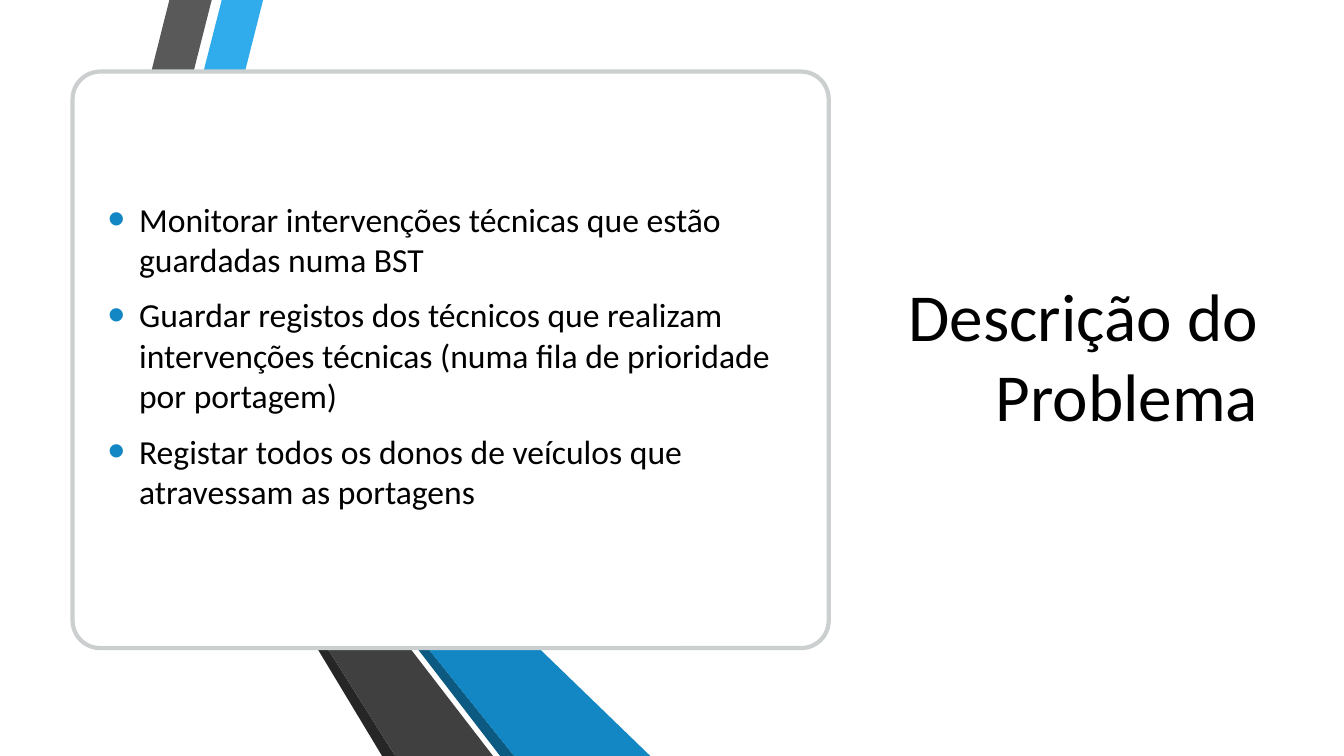
from dataclasses import dataclass

from lxml.etree import SubElement
from pptx import Presentation
from pptx.dml.color import RGBColor
from pptx.enum.shapes import MSO_SHAPE
from pptx.enum.text import MSO_ANCHOR, MSO_AUTO_SIZE, PP_ALIGN
from pptx.oxml.ns import qn
from pptx.util import Inches, Pt

WHITE = RGBColor(0xFF, 0xFF, 0xFF)
BLACK = RGBColor(0x00, 0x00, 0x00)
SKY = RGBColor(0x30, 0xAC, 0xEC)
BLUE = RGBColor(0x12, 0x87, 0xC3)
DARK_BLUE = RGBColor(0x0C, 0x5A, 0x82)
GREY = RGBColor(0x59, 0x59, 0x59)
DARK_GREY = RGBColor(0x40, 0x40, 0x40)
NEAR_BLACK = RGBColor(0x26, 0x26, 0x26)
BORDER = RGBColor(0xCB, 0xCF, 0xCF)
FONT = "Calibri"


@dataclass(frozen=True)
class Ribbon:
    color: RGBColor
    points: tuple[tuple[float, float], ...]


RIBBONS = (
    Ribbon(SKY, ((1.45, 2.94), (1.84, 3.04), (2.61, 0), (2.2, 0))),
    Ribbon(GREY, ((1.36, 2.92), (2.1, 0), (1.68, 0), (0.97, 2.82))),
    Ribbon(NEAR_BLACK, ((0.97, 2.82), (3.79, 7.5), (3.92, 7.5))),
    Ribbon(DARK_BLUE, ((1.45, 2.94), (4.96, 7.5), (5.1, 7.5))),
    Ribbon(BLUE, ((1.45, 2.94), (5.1, 7.5), (6.45, 7.5), (1.84, 3.04))),
    Ribbon(DARK_GREY, ((0.97, 2.82), (3.92, 7.5), (4.89, 7.5),
                       (1.43, 3.01), (1.36, 2.92))),
)

GOALS = (
    "Monitorar intervenções técnicas que estão guardadas numa BST",
    "Guardar registos dos técnicos que realizam intervenções técnicas "
    "(numa fila de prioridade por portagem)",
    "Registar todos os donos de veículos que atravessam as portagens",
)


def draw_ribbon(slide, ribbon: Ribbon) -> None:
    start, *rest = [(Inches(x), Inches(y)) for x, y in ribbon.points]
    builder = slide.shapes.build_freeform(*start)
    builder.add_line_segments(rest, close=True)
    sp = builder.convert_to_shape()
    sp.shadow.inherit = False
    sp.fill.solid()
    sp.fill.fore_color.rgb = ribbon.color
    sp.line.fill.background()


def draw_card(slide) -> None:
    sp = slide.shapes.add_shape(MSO_SHAPE.ROUNDED_RECTANGLE, Inches(0.72),
                                Inches(0.71), Inches(7.5), Inches(5.72))
    sp.adjustments[0] = 0.048
    sp.shadow.inherit = False
    sp.fill.solid()
    sp.fill.fore_color.rgb = WHITE
    sp.line.color.rgb = BORDER
    sp.line.width = Pt(3)


def place(sp, left: float, top: float, width: float, height: float,
          anchor: MSO_ANCHOR):
    sp.left, sp.top = Inches(left), Inches(top)
    sp.width, sp.height = Inches(width), Inches(height)
    tf = sp.text_frame
    tf.word_wrap = True
    tf.auto_size = MSO_AUTO_SIZE.NONE
    tf.vertical_anchor = anchor
    return tf


def write(p, text: str, *, size: float, align: PP_ALIGN = PP_ALIGN.LEFT,
          before: float = 0, after: float = 0) -> None:
    p.alignment = align
    p.space_before, p.space_after = Pt(before), Pt(after)
    r = p.add_run()
    r.text = text
    r.font.name = FONT
    r.font.size = Pt(size)
    r.font.color.rgb = BLACK


def add_bullet(p, color: RGBColor, indent: float) -> None:
    pPr = p._p.get_or_add_pPr()
    pPr.set("marL", str(Inches(indent)))
    pPr.set("indent", str(-Inches(indent)))
    SubElement(SubElement(pPr, qn("a:buClr")), qn("a:srgbClr"), val=str(color))
    SubElement(pPr, qn("a:buSzPct"), val="145000")
    SubElement(pPr, qn("a:buFont"), typeface="Arial")
    SubElement(pPr, qn("a:buChar"), char="•")


def main() -> None:
    prs = Presentation()
    prs.slide_width, prs.slide_height = Inches(13.33), Inches(7.5)
    slide = prs.slides.add_slide(prs.slide_layouts[1])
    title, body = slide.placeholders

    for ribbon in RIBBONS:
        draw_ribbon(slide, ribbon)
    draw_card(slide)

    tf = place(title, 8.79, 0.71, 3.79, 3.66, MSO_ANCHOR.BOTTOM)
    write(tf.paragraphs[0], "Descrição do Problema", size=48,
          align=PP_ALIGN.RIGHT)

    slide.shapes._spTree.append(body._element)
    tf = place(body, 0.97, 1.42, 7.05, 4.2, MSO_ANCHOR.MIDDLE)
    for i, goal in enumerate(GOALS):
        p = tf.add_paragraph() if i else tf.paragraphs[0]
        write(p, goal, size=24, before=4.8, after=6)
        add_bullet(p, BLUE, 0.31)

    prs.save("out.pptx")


if __name__ == "__main__":
    main()
